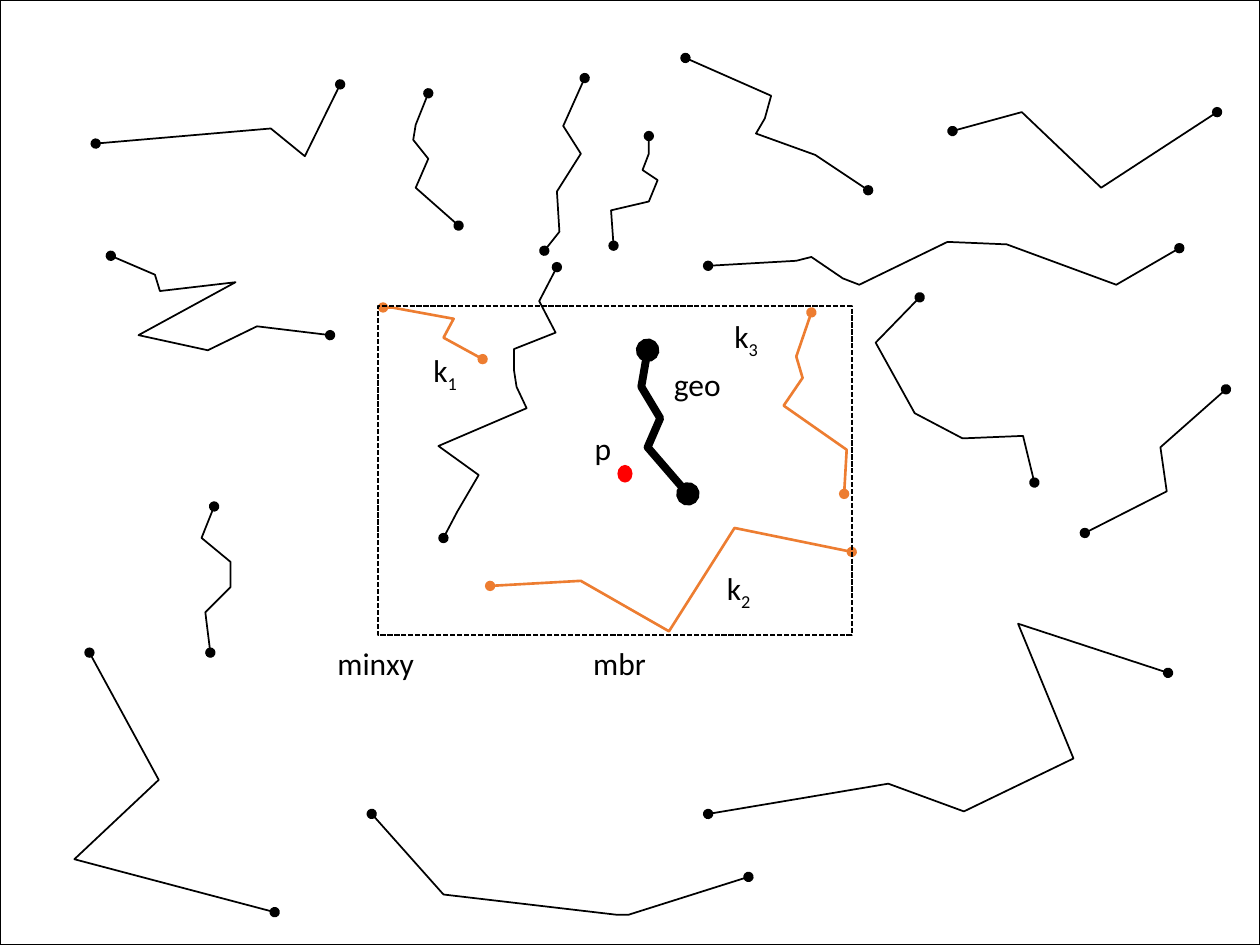
from dataclasses import dataclass

from pptx import Presentation
from pptx.dml.color import RGBColor
from pptx.enum.dml import MSO_LINE
from pptx.enum.shapes import MSO_SHAPE
from pptx.enum.text import MSO_AUTO_SIZE
from pptx.oxml.ns import qn
from pptx.util import Cm, Pt
from lxml import etree

RECT, OVAL = MSO_SHAPE.RECTANGLE, MSO_SHAPE.OVAL
DASH = MSO_LINE.SQUARE_DOT
FIT = MSO_AUTO_SIZE.SHAPE_TO_FIT_TEXT
BLANK = 6
UNIT = 2.54  # centimetres in one unit of the map


@dataclass(frozen=True)
class Theme:
    ink: RGBColor = RGBColor(0, 0, 0)
    near: RGBColor = RGBColor(0xED, 0x7D, 0x31)
    point: RGBColor = RGBColor(0xFF, 0, 0)
    font: str = "Calibri"
    size: Pt = Pt(18)
    thin: Pt = Pt(1)
    medium: Pt = Pt(1.5)
    thick: Pt = Pt(4.5)


THEME = Theme()


@dataclass(frozen=True)
class Route:
    points: tuple
    color: RGBColor = THEME.ink
    width: Pt = THEME.thin


@dataclass(frozen=True)
class Label:
    text: str
    left: float
    top: float
    sub: str = ""
    width: float = 0.79


def near(*points) -> Route:
    """One of the nearest neighbours k1 to k3."""
    return Route(points, THEME.near, THEME.medium)


def plain(*points) -> Route:
    return Route(points)


ROUTES = [
    plain((4.42, 2.12), (4.28, 2.39), (4.41, 2.64), (4.08, 2.77), (4.08, 2.94), (4.1, 3.07),
          (4.18, 3.24), (3.48, 3.54), (3.8, 3.77), (3.63, 4.06), (3.52, 4.27)),
    plain((5.15, 1.08), (5.15, 1.22), (5.1, 1.35), (5.22, 1.43), (5.15, 1.6), (4.85, 1.67),
          (4.87, 1.95)),
    plain((1.7, 4.02), (1.6, 4.27), (1.83, 4.46), (1.83, 4.66), (1.63, 4.86), (1.67, 5.18)),
    near((6.44, 2.48), (6.32, 2.83), (6.37, 3), (6.22, 3.22), (6.72, 3.57), (6.7, 3.92)),
    plain((4.64, 0.62), (4.47, 1), (4.61, 1.22), (4.42, 1.52), (4.44, 1.84), (4.32, 1.99)),
    plain((5.62, 2.11), (6.32, 2.07), (6.44, 2.04), (6.69, 2.21), (6.82, 2.26), (7.52, 1.92),
          (7.99, 1.94), (8.86, 2.26), (9.36, 1.97)),
    near((3.04, 2.44), (3.11, 2.44), (3.6, 2.53), (3.52, 2.68), (3.83, 2.85)),
    plain((7.3, 2.36), (6.95, 2.72), (7.26, 3.28), (7.64, 3.48), (8.12, 3.46), (8.21, 3.83)),
    plain((3.4, 0.74), (3.3, 0.99), (3.28, 1.11), (3.4, 1.26), (3.3, 1.49), (3.64, 1.79)),
    plain((5.44, 0.46), (6.12, 0.76), (6.07, 0.94), (6, 1.06), (6.47, 1.23), (6.89, 1.51)),
    plain((9.73, 3.09), (9.21, 3.55), (9.26, 3.9), (8.61, 4.23)),
    plain((0.71, 5.18), (1.26, 6.19), (0.59, 6.82), (2.18, 7.24)),
    plain((5.62, 6.46), (7.05, 6.22), (7.65, 6.44), (8.52, 6.02), (8.08, 4.95), (9.27, 5.34)),
    plain((0.76, 1.14), (2.15, 1.02), (2.42, 1.24), (2.7, 0.67)),
    near((3.89, 4.65), (4.61, 4.61), (5.31, 5.01), (5.83, 4.19), (6.76, 4.38)),
    plain((7.56, 1.04), (8.11, 0.89), (8.74, 1.49), (9.66, 0.89)),
    Route(((5.14, 2.78), (5.09, 3.07), (5.24, 3.32), (5.14, 3.55), (5.46, 3.92)),
          width=THEME.thick),
    plain((2.95, 6.46), (3.52, 7.1), (4.89, 7.26), (4.99, 7.26), (5.94, 6.96)),
    plain((0.88, 2.03), (1.23, 2.18), (1.27, 2.31), (1.87, 2.24), (1.1, 2.66), (1.65, 2.78),
          (2.04, 2.59), (2.62, 2.66)),
]

LABELS = [
    Label("geo", 5.25, 2.85),
    Label("k", 5.67, 4.47, "2"),
    Label("k", 3.34, 2.74, "1"),
    Label("k", 5.73, 2.47, "3"),
    Label("p", 4.62, 3.36),
    Label("mbr", 4.61, 5.06),
    Label("minxy", 2.58, 5.06, width=1),
]


def cm(units: float) -> Cm:
    return Cm(units * UNIT)


def draw_route(s, route: Route) -> None:
    """Draw an open polyline with a dot at both ends."""
    start, *rest = [(cm(x), cm(y)) for x, y in route.points]
    builder = s.shapes.build_freeform(*start)
    builder.add_line_segments(rest, close=False)
    sp = builder.convert_to_shape()
    sp.shadow.inherit = False
    sp.fill.background()
    sp.line.color.rgb = route.color
    sp.line.width = route.width
    ln = sp.line._get_or_add_ln()
    for end in ("a:headEnd", "a:tailEnd"):
        etree.SubElement(ln, qn(end), type="oval")


def draw_frame(s, left: float, top: float, width: float, height: float, dash=None) -> None:
    sp = s.shapes.add_shape(RECT, cm(left), cm(top), cm(width), cm(height))
    sp.shadow.inherit = False
    sp.fill.background()
    sp.line.color.rgb = THEME.ink
    sp.line.width = THEME.thin
    if dash:
        sp.line.dash_style = dash


def draw_point(s, left: float, top: float, width: float, height: float) -> None:
    sp = s.shapes.add_shape(OVAL, cm(left), cm(top), cm(width), cm(height))
    sp.shadow.inherit = False
    sp.fill.solid()
    sp.fill.fore_color.rgb = THEME.point
    sp.line.fill.background()


def draw_label(s, label: Label) -> None:
    sp = s.shapes.add_textbox(cm(label.left), cm(label.top), cm(label.width), cm(0.4))
    tf = sp.text_frame
    tf.word_wrap = True
    tf.auto_size = FIT
    p = tf.paragraphs[0]
    p.font.name, p.font.size = THEME.font, THEME.size
    p.font.color.rgb = THEME.ink
    p.add_run().text = label.text
    if label.sub:
        r = p.add_run()
        r.text = label.sub
        r.font._element.set("baseline", "-25000")


def main() -> None:
    prs = Presentation()
    prs.slide_width, prs.slide_height = cm(10), cm(7.5)
    s = prs.slides.add_slide(prs.slide_layouts[BLANK])
    for route in ROUTES:
        draw_route(s, route)
    draw_point(s, 4.9, 3.69, 0.12, 0.14)
    draw_frame(s, 3, 2.43, 3.76, 2.61, DASH)
    for label in LABELS:
        draw_label(s, label)
    draw_frame(s, 0, 0, 10, 7.5)
    prs.save("out.pptx")


if __name__ == "__main__":
    main()
